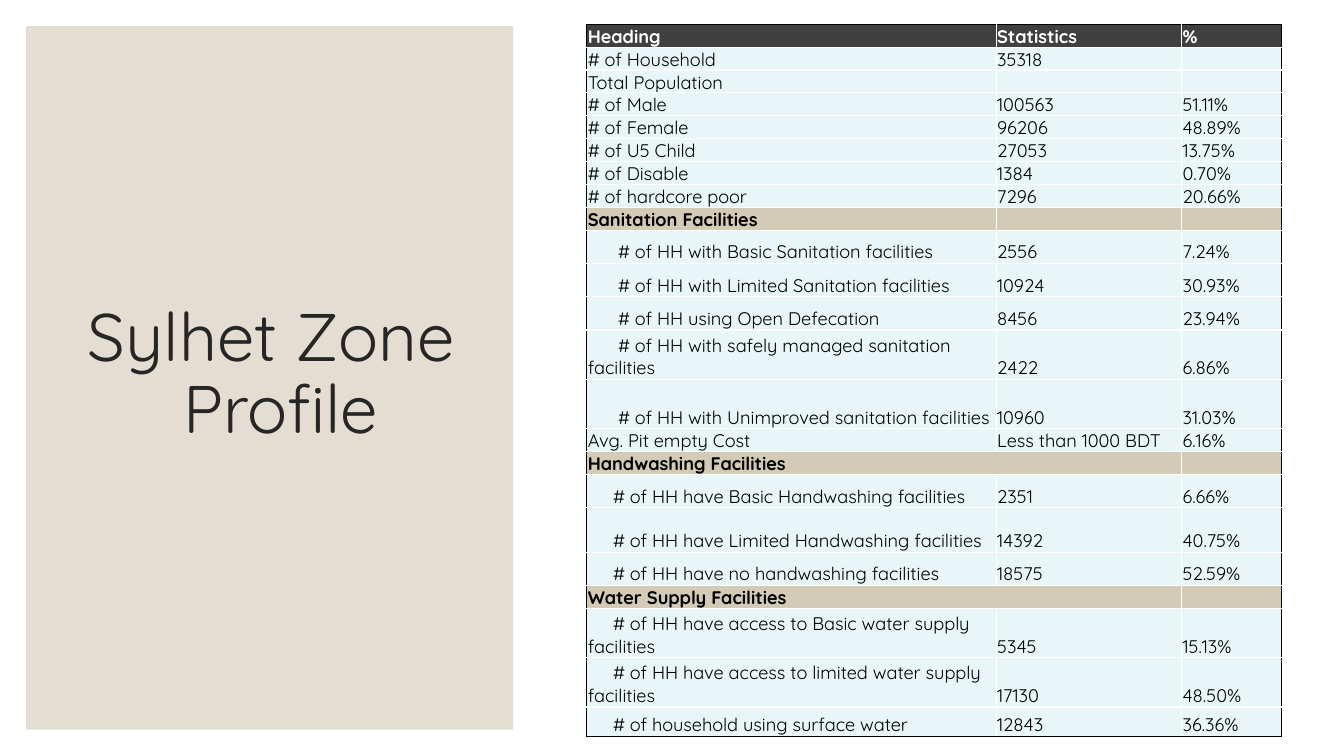
from lxml.etree import SubElement
from pptx import Presentation
from pptx.dml.color import RGBColor
from pptx.enum.shapes import MSO_SHAPE as Preset
from pptx.enum.text import MSO_ANCHOR as Anchor, PP_ALIGN as Align
from pptx.oxml.ns import qn
from pptx.util import Inches, Pt

FONT = "Quicksand"
WHITE = RGBColor(0xFF, 0xFF, 0xFF)
BLACK = RGBColor(0x00, 0x00, 0x00)
CHARCOAL = RGBColor(0x26, 0x26, 0x26)
HEADING_FILL = RGBColor(0x40, 0x40, 0x40)
SECTION_FILL = RGBColor(0xD3, 0xCB, 0xB6)
DATA_FILL = RGBColor(0xE8, 0xF6, 0xF8)
SAND = RGBColor(0xE3, 0xDE, 0xD1)

TABLE_SIZE = 13
COLUMN_WIDTHS = (4.06, 1.84, 0.99)
LINE = 0.22
SANITATION_INDENT = 0.3
INDENT = 0.25

HEADING = ("Heading", "Statistics", "%")
POPULATION = [
    ("# of Household", "35318", "", LINE),
    ("Total Population", "", "", LINE),
    ("# of Male", "100563", "51.11%", LINE),
    ("# of Female", "96206", "48.89%", LINE),
    ("# of U5 Child", "27053", "13.75%", LINE),
    ("# of Disable", "1384", "0.70%", LINE),
    ("# of hardcore poor", "7296", "20.66%", LINE),
]
SANITATION = [
    ("# of HH with Basic Sanitation facilities", "2556", "7.24%", 0.33),
    ("# of HH with Limited Sanitation facilities", "10924", "30.93%", 0.33),
    ("# of HH using Open Defecation", "8456", "23.94%", 0.33),
    ("# of HH with safely managed sanitation facilities", "2422", "6.86%", 0.49),
    ("# of HH with Unimproved sanitation facilities", "10960", "31.03%", 0.49),
]
PIT_COST = [("Avg. Pit empty Cost", "Less than 1000 BDT", "6.16%", LINE)]
HANDWASHING = [
    ("# of HH have Basic Handwashing facilities", "2351", "6.66%", 0.33),
    ("# of HH have Limited Handwashing facilities", "14392", "40.75%", 0.44),
    ("# of HH have no handwashing facilities", "18575", "52.59%", 0.33),
]
WATER = [
    ("# of HH have access to Basic water supply facilities", "5345", "15.13%", 0.49),
    ("# of HH have access to limited water supply facilities", "17130", "48.50%", 0.49),
    ("# of household using surface water", "12843", "36.36%", 0.29),
]


def data_rows(records, indent=0):
    """Return plain table rows as texts, height and style."""
    return [(record[:3], record[3], {"indent": indent}) for record in records]


def section_row(title, merged=False):
    """Return a bold, tinted row that opens a section."""
    style = {"fill": SECTION_FILL, "bold": True, "merged": merged}
    return [((title, "", ""), LINE, style)]


def profile_rows():
    """Return all rows of the profile table in order."""
    heading_style = {"fill": HEADING_FILL, "color": WHITE, "bold": True}
    return (
        [(HEADING, LINE, heading_style)]
        + data_rows(POPULATION)
        + section_row("Sanitation Facilities")
        + data_rows(SANITATION, SANITATION_INDENT)
        + data_rows(PIT_COST)
        + section_row("Handwashing Facilities", merged=True)
        + data_rows(HANDWASHING, INDENT)
        + section_row("Water Supply Facilities", merged=True)
        + data_rows(WATER, INDENT)
    )


def write_text(frame, text, size=TABLE_SIZE, color=BLACK, bold=False,
               align=Align.LEFT, spacing=None, indent=0):
    """Write one formatted paragraph into a text frame."""
    paragraph = frame.paragraphs[0]
    paragraph.text = text
    paragraph.alignment = align
    if spacing:
        paragraph.line_spacing = spacing
    if indent:
        properties = paragraph._p.get_or_add_pPr()
        properties.set("marL", "0")
        properties.set("indent", str(Inches(indent)))
    for run in paragraph.runs:
        run.font.name = FONT
        run.font.size = Pt(size)
        run.font.bold = bold
        run.font.color.rgb = color
    if not text:
        end = SubElement(paragraph._p, qn("a:endParaRPr"), sz=str(size * 100))
        SubElement(end, qn("a:latin"), typeface=FONT)


def set_borders(cell, **colors):
    """Draw one-point cell borders in the given colours."""
    properties = cell._tc.get_or_add_tcPr()
    for position, (side, color) in enumerate(colors.items()):
        line = SubElement(properties, qn(f"a:ln{side}"), w=str(Pt(1)))
        fill = SubElement(line, qn("a:solidFill"))
        SubElement(fill, qn("a:srgbClr"), val=str(color))
        properties.insert(position, line)


def format_cell(cell, text, fill, indent, color, bold):
    """Fill a table cell and write its text."""
    cell.fill.solid()
    cell.fill.fore_color.rgb = fill
    cell.vertical_anchor = Anchor.BOTTOM
    cell.margin_left = cell.margin_right = cell.margin_top = Inches(0.01)
    cell.margin_bottom = Inches(0)
    write_text(cell.text_frame, text, color=color, bold=bold, indent=indent)


def add_panel(slide, left, top, width, height, color):
    """Add a plain coloured rectangle."""
    shape = slide.shapes.add_shape(
        Preset.RECTANGLE, Inches(left), Inches(top), Inches(width), Inches(height))
    shape.shadow.inherit = False
    shape.fill.solid()
    shape.fill.fore_color.rgb = color
    shape.line.fill.background()


def add_title(slide, text, left, top, width, height):
    """Add the centred slide title."""
    box = slide.shapes.add_textbox(
        Inches(left), Inches(top), Inches(width), Inches(height))
    box.text_frame.word_wrap = True
    box.text_frame.vertical_anchor = Anchor.MIDDLE
    write_text(box.text_frame, text, size=48, color=CHARCOAL,
               align=Align.CENTER, spacing=0.9)


def add_profile_table(slide, rows, left, top):
    """Add the statistics table with a black outer frame."""
    height = sum(row[1] for row in rows)
    table = slide.shapes.add_table(
        len(rows), len(COLUMN_WIDTHS), Inches(left), Inches(top),
        Inches(sum(COLUMN_WIDTHS)), Inches(height)).table
    table.first_row = table.horz_banding = False
    for column, width in zip(table.columns, COLUMN_WIDTHS):
        column.width = Inches(width)
    last_row, last_column = len(rows) - 1, len(COLUMN_WIDTHS) - 1
    for r, (texts, row_height, style) in enumerate(rows):
        table.rows[r].height = Inches(row_height)
        for c, text in enumerate(texts):
            cell = table.cell(r, c)
            format_cell(cell, text, style.get("fill", DATA_FILL),
                        style.get("indent", 0) if c == 0 else 0,
                        style.get("color", BLACK), style.get("bold", False))
            set_borders(cell,
                        L=BLACK if c == 0 else WHITE,
                        R=BLACK if c == last_column else WHITE,
                        T=BLACK if r == 0 else WHITE,
                        B=BLACK if r == last_row else WHITE)
        if style.get("merged"):
            table.cell(r, 0).merge(table.cell(r, 1))


def main():
    """Build the zone profile slide and save it."""
    presentation = Presentation()
    presentation.slide_width = Inches(13.33)
    presentation.slide_height = Inches(7.5)
    slide = presentation.slides.add_slide(presentation.slide_layouts[6])
    add_panel(slide, 0.26, 0.26, 4.83, 6.98, SAND)
    add_title(slide, "Sylhet Zone\v Profile", 0.63, 0.61, 4.12, 6.24)
    add_profile_table(slide, profile_rows(), 5.82, 0.24)
    presentation.save("out.pptx")


if __name__ == "__main__":
    main()
